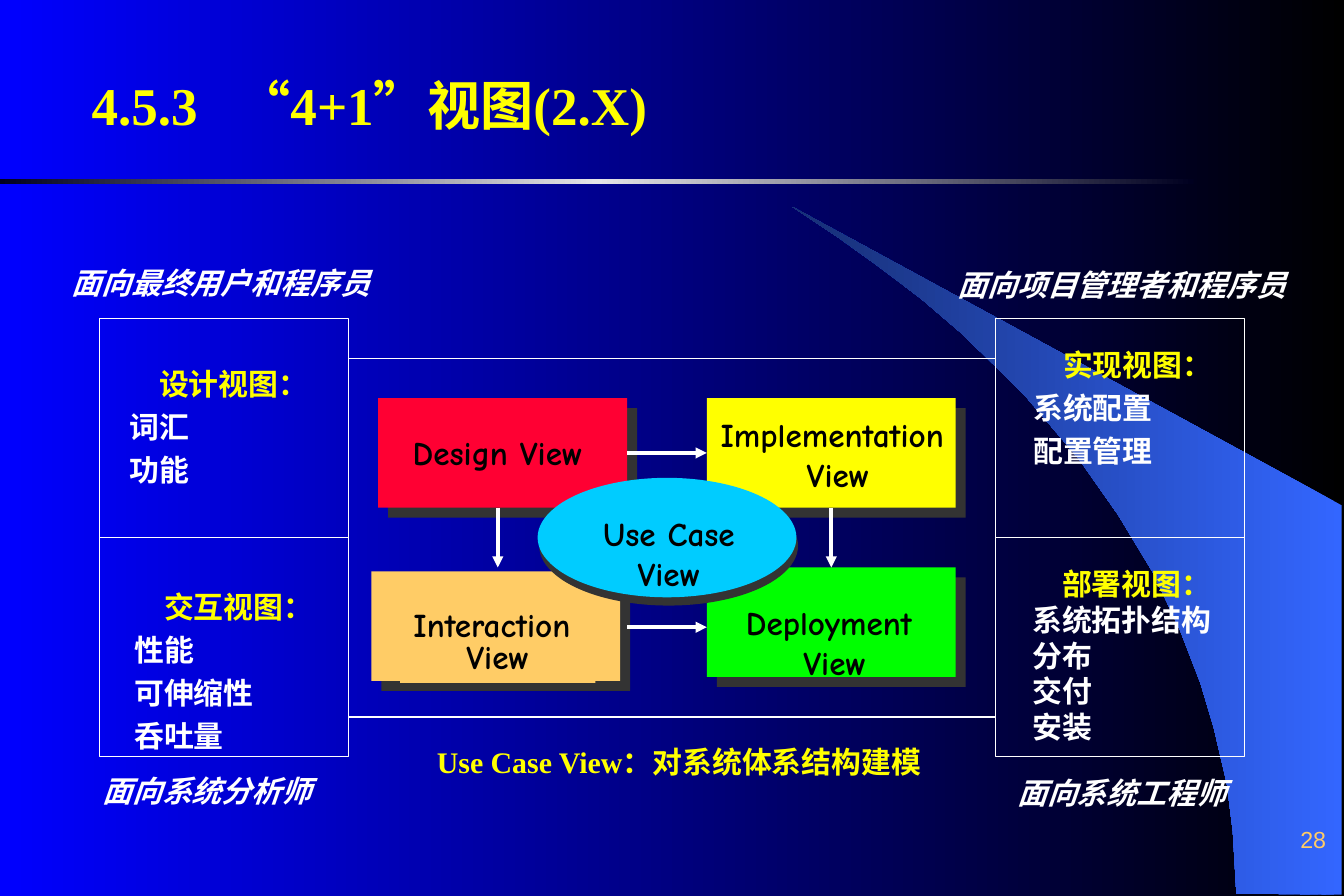
from dataclasses import dataclass

from lxml.etree import SubElement
from pptx import Presentation
from pptx.dml.color import RGBColor
from pptx.enum.lang import MSO_LANGUAGE_ID
from pptx.enum.shapes import MSO_CONNECTOR, MSO_SHAPE
from pptx.enum.text import MSO_ANCHOR, MSO_AUTO_SIZE, PP_ALIGN
from pptx.oxml.ns import qn
from pptx.util import Inches, Pt


@dataclass(frozen=True)
class Theme:
    black: str = "000000"
    blue: str = "0000FF"
    white: str = "FFFFFF"
    yellow: str = "FFFF00"
    amber: str = "FFCC66"
    red: str = "FF0033"
    green: str = "00FF00"
    cyan: str = "00CCFF"
    shadow: str = "333333"
    crescent: tuple = ((0, "3366FF"), (100, "172F75"))
    bar: tuple = ((0, "000020"), (50, "E4E4E7"), (100, "000020"))
    serif: str = "Times New Roman"
    comic: str = "Comic Neue"
    sans: str = "Arial"
    title_size: int = 32
    card_size: int = 20
    body_size: int = 18
    number_size: int = 14


THEME = Theme()
COLUMNS, ROWS = 135, 90
UNIT = Inches(11.25) / COLUMNS

TITLE = "4.5.3\t“4+1”视图(2.X)"
CRESCENT = [(1035, 748), (1123, 749), (1123, 423), (663, 173), (702, 199), (734, 222),
            (771, 250), (806, 280), (857, 330), (903, 384), (936, 431), (965, 479),
            (988, 528), (1005, 572), (1016, 609), (1027, 656), (1032, 696)]
CARD_SIZE = (25, 11)
CARDS = {
    "design": ((38, 40), THEME.red, ["Design View"], (38, 42.8, 24, 5.3)),
    "interaction": ((37.3, 57.4), THEME.amber, ["Interaction ", "View"], (40.2, 60.9, 19.6, 7.7)),
    "implementation": ((71, 40), THEME.yellow, ["Implementation", " View"], (71.1, 41, 25, 9.2)),
    "deployment": ((71, 57), THEME.green, ["Deployment ", "View"], (73.7, 59.9, 20.3, 9.2)),
}
USE_CASE = ((54, 48, 26, 12), ["Use Case", "View"], (57.2, 51, 20, 9.2))
ARROWS = [
    ((63, 46), (71, 46), ("design", 3, "implementation", 1)),
    ((63, 63), (71, 63), None),
    ((50, 51), (50, 57), None),
    ((84, 51), (84, 57), ("implementation", 2, "deployment", 0)),
]
FRAME = (35, 36, 65, 36)
PANEL_LEFTS, PANEL_TOP, PANEL_SIZE = (10, 100), 32, (25, 22)
PANELS = [
    (0, 0, (11.8, 35.4), "设计视图：", ["词汇", "功能"], 1.2),
    (0, 1, (12.3, 57.8), "交互视图：", ["性能", "可伸缩性", "呑吐量"], 1.2),
    (1, 0, (102.6, 33.5), "实现视图：", ["系统配置", "配置管理"], 1.2),
    (1, 1, (102.5, 55.5), "部署视图：", ["系统拓扑结构", "分布", "交付", "安装"], 1),
]
AUDIENCES = [
    ((6, 26, 32.4, 4.8), "面向最终用户和程序员"),
    ((95, 26.2, 35.4, 4.8), "面向项目管理者和程序员"),
    ((101, 77.2, 23.4, 4.8), "面向系统工程师"),
    ((9.1, 77, 23.4, 4.8), "面向系统分析师"),
]
SUMMARY = ((42.7, 73.4, 52, 5.5), "Use Case View：对系统体系结构建模")
NUMBER = ((106.3, 80.7, 28.1, 5), "28")


def place(*lengths):
    return [round(length * UNIT) for length in lengths]


def paint_gradient(fill, element, stops):
    fill.gradient()
    fill.gradient_angle = 180
    stop_list = element.find(".//" + qn("a:gsLst"))
    for stop in list(stop_list):
        stop_list.remove(stop)
    for position, color in stops:
        stop = SubElement(stop_list, qn("a:gs"), pos=str(position * 1000))
        SubElement(stop, qn("a:srgbClr"), val=color)


def paint(shape, fill=None, line=None):
    shape.shadow.inherit = False
    if fill:
        shape.fill.solid()
        shape.fill.fore_color.rgb = RGBColor.from_string(fill)
    else:
        shape.fill.background()
    if line:
        shape.line.color.rgb = RGBColor.from_string(line)
        shape.line.width = Pt(1)
    else:
        shape.line.fill.background()


def add_shadow(shape, distance, angle):
    effects = shape.element.spPr.find(qn("a:effectLst"))
    shadow = SubElement(effects, qn("a:outerShdw"), dist=str(Pt(distance)),
                        dir=str(angle * 60000), algn="ctr", rotWithShape="0")
    SubElement(shadow, qn("a:srgbClr"), val=THEME.shadow)


def write(paragraph, text, size, color, font=THEME.serif, bold=True, italic=False):
    run = paragraph.add_run()
    run.text = text
    run.font.name = font
    run.font.size = Pt(size)
    run.font.bold = bold
    run.font.italic = italic
    run.font.color.rgb = RGBColor.from_string(color)
    run.font.language_id = MSO_LANGUAGE_ID.SIMPLIFIED_CHINESE


def add_text(slide, box, lines, size, color, align=PP_ALIGN.LEFT, spacing=1, **style):
    shape = slide.shapes.add_textbox(*place(*box))
    frame = shape.text_frame
    frame.word_wrap = False
    frame.auto_size = MSO_AUTO_SIZE.SHAPE_TO_FIT_TEXT
    for index, line in enumerate(lines):
        paragraph = frame.add_paragraph() if index else frame.paragraphs[0]
        paragraph.alignment = align
        paragraph.line_spacing = spacing
        write(paragraph, line, size, color, **style)
    return shape


def add_label(slide, box, lines, spacing=1):
    return add_text(slide, box, lines, THEME.card_size, THEME.black,
                    PP_ALIGN.CENTER, spacing, font=THEME.comic)


def add_scenery(slide):
    paint_gradient(slide.background.fill, slide.element, ((0, THEME.black), (100, THEME.blue)))
    builder = slide.shapes.build_freeform(*CRESCENT[0], scale=Inches(0.01))
    builder.add_line_segments(CRESCENT[1:], close=True)
    bar = slide.shapes.add_shape(MSO_SHAPE.RECTANGLE, *place(0, 18, 119.9, 0.5))
    for shape, stops in ((builder.convert_to_shape(), THEME.crescent), (bar, THEME.bar)):
        paint(shape)
        paint_gradient(shape.fill, shape.element, stops)


def add_title(slide):
    title = slide.shapes.title
    title.left, title.top, title.width, title.height = place(8, 3, 110, 15)
    frame = title.text_frame
    frame.auto_size = MSO_AUTO_SIZE.NONE
    frame.vertical_anchor = MSO_ANCHOR.MIDDLE
    paragraph = frame.paragraphs[0]
    paragraph.alignment = PP_ALIGN.LEFT
    tabs = SubElement(paragraph._p.get_or_add_pPr(), qn("a:tabLst"))
    SubElement(tabs, qn("a:tab"), pos=str(Inches(1.22)), algn="l")
    write(paragraph, TITLE, THEME.title_size, THEME.yellow)


def add_views(slide):
    cards = {}
    for name, (corner, color, lines, label_box) in CARDS.items():
        card = slide.shapes.add_shape(MSO_SHAPE.RECTANGLE, *place(*corner, *CARD_SIZE))
        paint(card, color)
        add_shadow(card, 8.5, 45)
        cards[name] = card
        tight = name == "interaction"
        label = add_label(slide, label_box, lines, 0.8 if tight else 1)
        if tight:
            paint(label, color)
    box, lines, label_box = USE_CASE
    ellipse = slide.shapes.add_shape(MSO_SHAPE.OVAL, *place(*box))
    paint(ellipse, THEME.cyan)
    add_shadow(ellipse, 5.1, 79)
    add_label(slide, label_box, lines)
    for start, end, joint in ARROWS:
        arrow = slide.shapes.add_connector(MSO_CONNECTOR.STRAIGHT, *place(*start, *end))
        if joint:
            arrow.begin_connect(cards[joint[0]], joint[1])
            arrow.end_connect(cards[joint[2]], joint[3])
        arrow.line.color.rgb = RGBColor.from_string(THEME.white)
        arrow.line.width = Pt(2.25)
        SubElement(arrow.line._get_or_add_ln(), qn("a:tailEnd"), type="triangle")
        SubElement(arrow.element.spPr, qn("a:effectLst"))


def add_panels(slide):
    width, height = PANEL_SIZE
    corners = [(PANEL_LEFTS[column], PANEL_TOP + row * height) for column, row, *_ in PANELS]
    for box in [FRAME] + [(*corner, width, height) for corner in corners]:
        paint(slide.shapes.add_shape(MSO_SHAPE.RECTANGLE, *place(*box)), line=THEME.white)
    for _, _, corner, heading, items, spacing in PANELS:
        box = (*corner, 20.4, 14.5)
        shape = add_text(slide, box, [heading] + items, THEME.body_size, THEME.white, spacing=spacing)
        first = shape.text_frame.paragraphs[0]
        first.line_spacing = 1.2
        first._p.get_or_add_pPr().set("marL", str(Inches(0.25)))
        first.runs[0].font.color.rgb = RGBColor.from_string(THEME.yellow)


def add_captions(slide):
    for box, text in AUDIENCES:
        add_text(slide, box, [text], THEME.body_size, THEME.white, italic=True)
    add_text(slide, SUMMARY[0], [SUMMARY[1]], THEME.body_size, THEME.yellow, spacing=1.2)
    number = add_text(slide, NUMBER[0], [NUMBER[1]], THEME.number_size, THEME.amber,
                      PP_ALIGN.RIGHT, font=THEME.sans, bold=False).text_frame
    number.word_wrap = True
    number.auto_size = MSO_AUTO_SIZE.NONE
    number.vertical_anchor = MSO_ANCHOR.BOTTOM
    number.margin_top = number.margin_bottom = 0


def main():
    presentation = Presentation()
    presentation.slide_width, presentation.slide_height = place(COLUMNS, ROWS)
    slide = presentation.slides.add_slide(presentation.slide_layouts[5])
    for add_part in (add_scenery, add_title, add_views, add_panels, add_captions):
        add_part(slide)
    presentation.save("out.pptx")


if __name__ == "__main__":
    main()
